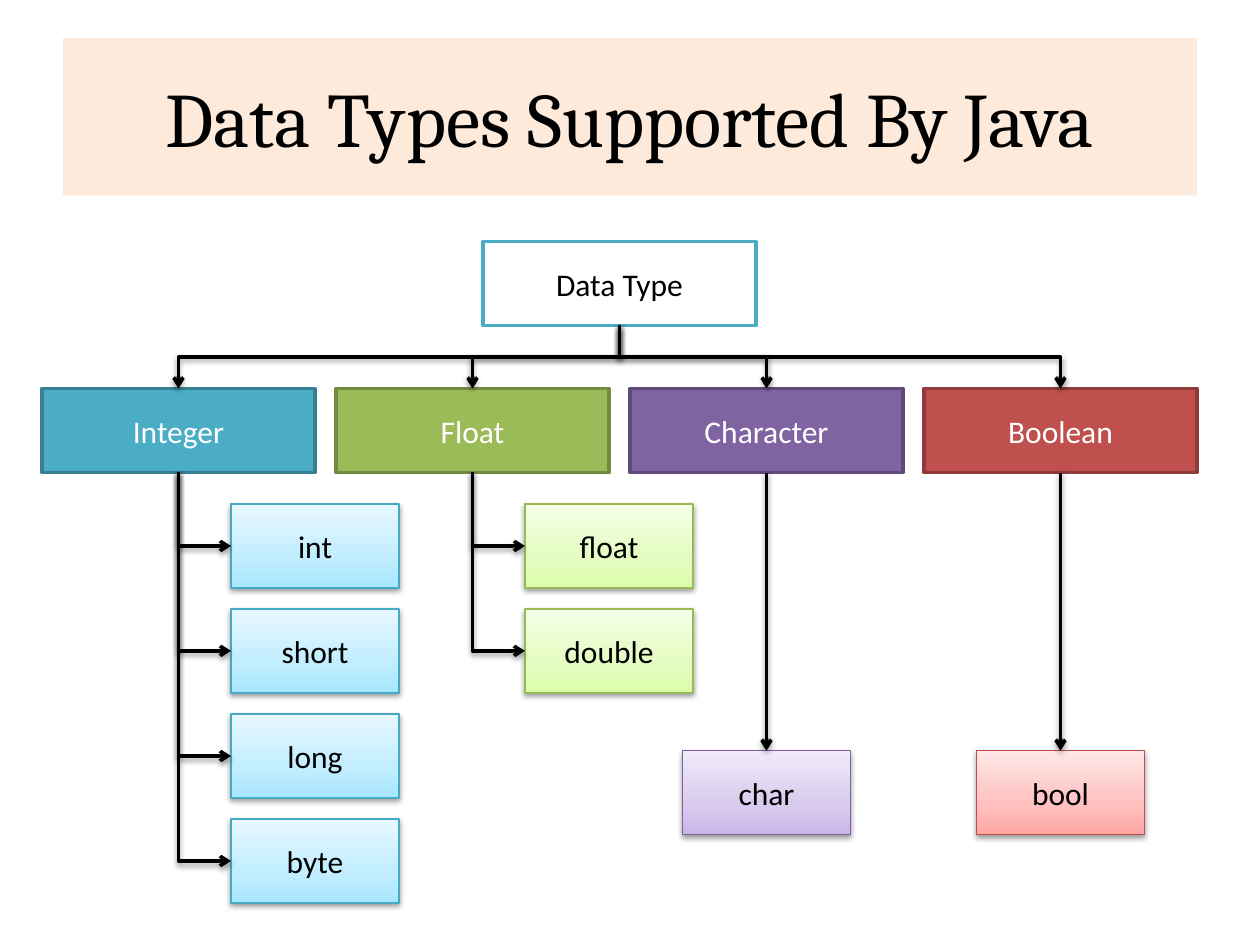
from copy import deepcopy
from dataclasses import dataclass

from lxml import etree
from pptx import Presentation
from pptx.dml.color import RGBColor
from pptx.enum.shapes import MSO_CONNECTOR, MSO_SHAPE
from pptx.enum.text import MSO_ANCHOR, PP_ALIGN
from pptx.oxml.ns import qn
from pptx.util import Emu, Pt

RECTANGLE = MSO_SHAPE.RECTANGLE
STRAIGHT = MSO_CONNECTOR.STRAIGHT
ELBOW = MSO_CONNECTOR.ELBOW
CENTER = PP_ALIGN.CENTER
MIDDLE = MSO_ANCHOR.MIDDLE
TITLE_ONLY = 5
EMU_PER_PX = 7620  # 120 px to the inch


@dataclass(frozen=True)
class Theme:
    black: str = "000000"
    white: str = "FFFFFF"
    banner: str = "FDEADA"
    accent: str = "4BACC6"
    title_font: str = "Cambria"
    body_font: str = "Calibri"
    title_size: int = 44
    body_size: int = 18
    thick: float = 2
    thin: float = 0.75
    stops: tuple = (0, 0.35, 1)


@dataclass(frozen=True)
class Category:
    name: str
    fill: str
    line: str
    types: tuple
    type_line: str
    gradient: tuple


CATEGORIES = (
    Category("Integer", "4BACC6", "377F92", ("int", "short", "long", "byte"),
             "46AAC5", ("A7E6FF", "C1EDFF", "E7F8FF")),
    Category("Float", "9BBB59", "738A42", ("float", "double"),
             "98B955", ("DAFDA7", "E4FCC2", "F5FFE7")),
    Category("Character", "8064A2", "5F4A78", ("char",),
             "7D60A0", ("C9B5E8", "D8CBEE", "F0EAF9")),
    Category("Boolean", "C0504D", "8E3B39", ("bool",),
             "BF4C48", ("FFA6A5", "FFC0BF", "FFE7E7")),
)


def px(value):
    return Emu(value * EMU_PER_PX)


def rgb(value):
    return RGBColor.from_string(value)


def write_text(shape, text, *, font, size, color):
    frame = shape.text_frame
    frame.word_wrap = True
    frame.vertical_anchor = MIDDLE
    paragraph = frame.paragraphs[0]
    paragraph.alignment = CENTER
    run = paragraph.add_run()
    run.text = text
    run.font.name = font
    run.font.size = Pt(size)
    run.font.color.rgb = rgb(color)


def add_shadow(properties):
    effects = properties.find(qn("a:effectLst"))
    if effects is None:
        effects = etree.SubElement(properties, qn("a:effectLst"))
    shadow = etree.SubElement(effects, qn("a:outerShdw"), blurRad="40000",
                              dist="20000", dir="5400000", rotWithShape="0")
    color = etree.SubElement(shadow, qn("a:srgbClr"), val="000000")
    etree.SubElement(color, qn("a:alpha"), val="38000")


class SlideBuilder:
    def __init__(self, slide, theme):
        self.slide = slide
        self.theme = theme

    def title(self, text, left, top, width, height):
        theme = self.theme
        shape = self.slide.shapes.title
        shape.left, shape.top = px(left), px(top)
        shape.width, shape.height = px(width), px(height)
        shape.fill.solid()
        shape.fill.fore_color.rgb = rgb(theme.banner)
        write_text(shape, text, font=theme.title_font,
                   size=theme.title_size, color=theme.black)

    def box(self, text, left, top, width, height, *, line, weight, color):
        shape = self.slide.shapes.add_shape(
            RECTANGLE, px(left), px(top), px(width), px(height))
        shape.shadow.inherit = False
        shape.line.color.rgb = rgb(line)
        shape.line.width = Pt(weight)
        write_text(shape, text, font=self.theme.body_font,
                   size=self.theme.body_size, color=color)
        return shape

    def solid_box(self, text, *bounds, fill, line, color):
        shape = self.box(text, *bounds, line=line, weight=self.theme.thick,
                         color=color)
        shape.fill.solid()
        shape.fill.fore_color.rgb = rgb(fill)

    def gradient_box(self, text, *bounds, gradient, line):
        shape = self.box(text, *bounds, line=line, weight=self.theme.thin,
                         color=self.theme.black)
        shape.fill.gradient()
        shape.fill.gradient_angle = 90
        stop_list = shape.element.spPr.find(".//" + qn("a:gsLst"))
        stop_list.insert(1, deepcopy(stop_list[0]))
        for stop, position, color in zip(shape.fill.gradient_stops,
                                         self.theme.stops, gradient):
            stop.position = position
            stop.color.rgb = rgb(color)
        add_shadow(shape.element.spPr)

    def arrow(self, kind, x1, y1, x2, y2):
        connector = self.slide.shapes.add_connector(
            kind, px(x1), px(y1), px(x2), px(y2))
        connector.line.color.rgb = rgb(self.theme.black)
        connector.line.width = Pt(self.theme.thick)
        properties = connector.element.spPr
        etree.SubElement(properties.find(qn("a:ln")), qn("a:tailEnd"),
                         type="arrow")
        add_shadow(properties)
        return properties

    def elbow(self, x1, y1, x2, y2, preset):
        """Arrow that leaves downwards: a turned elbow around its centre."""
        run, drop = abs(x2 - x1), y2 - y1
        left = (x1 + x2 - drop) // 2
        top = (y1 + y2 - run) // 2
        properties = self.arrow(ELBOW, left, top, left + drop, top + run)
        properties.find(qn("a:prstGeom")).set("prst", preset)
        frame = properties.find(qn("a:xfrm"))
        if x2 > x1:
            frame.set("rot", "16200000")
            frame.set("flipH", "1")
        else:
            frame.set("rot", "5400000")


def main():
    theme = Theme()
    presentation = Presentation()
    presentation.slide_width, presentation.slide_height = px(1200), px(900)
    slide = presentation.slides.add_slide(
        presentation.slide_layouts[TITLE_ONLY])
    builder = SlideBuilder(slide, theme)

    # Tree measures
    box_width, box_height, type_width = 260, 80, 160
    root_left, root_top = 460, 230
    first_left, category_top, column_pitch = 40, 370, 280
    type_indent, stack_top, stack_pitch, single_top = 180, 480, 100, 715
    category_bottom = category_top + box_height
    lefts = [first_left + column_pitch * i for i in range(len(CATEGORIES))]

    # Title and root
    builder.title("Data Types Supported By Java", 60, 36, 1080, 150)
    builder.solid_box("Data Type", root_left, root_top, box_width, box_height,
                      fill=theme.white, line=theme.accent, color=theme.black)

    # Categories with their types
    for left, category in zip(lefts, CATEGORIES):
        center = left + box_width // 2
        builder.solid_box(category.name, left, category_top, box_width,
                          box_height, fill=category.fill, line=category.line,
                          color=theme.white)
        stacked = len(category.types) > 1
        type_left = left + type_indent if stacked else center - type_width // 2
        first_top = stack_top if stacked else single_top
        tops = [first_top + stack_pitch * i for i in range(len(category.types))]
        for name, top in zip(category.types, tops):
            builder.gradient_box(name, type_left, top, type_width, box_height,
                                 gradient=category.gradient,
                                 line=category.type_line)
        for top in tops:
            if stacked:
                builder.elbow(center, category_bottom, type_left,
                              top + box_height // 2, "bentConnector2")
            else:
                builder.arrow(STRAIGHT, center, category_bottom, center, top)

    # Arrows from the root to each category
    for left in lefts:
        builder.elbow(root_left + box_width // 2, root_top + box_height,
                      left + box_width // 2, category_top, "bentConnector3")

    presentation.save("out.pptx")


if __name__ == "__main__":
    main()
